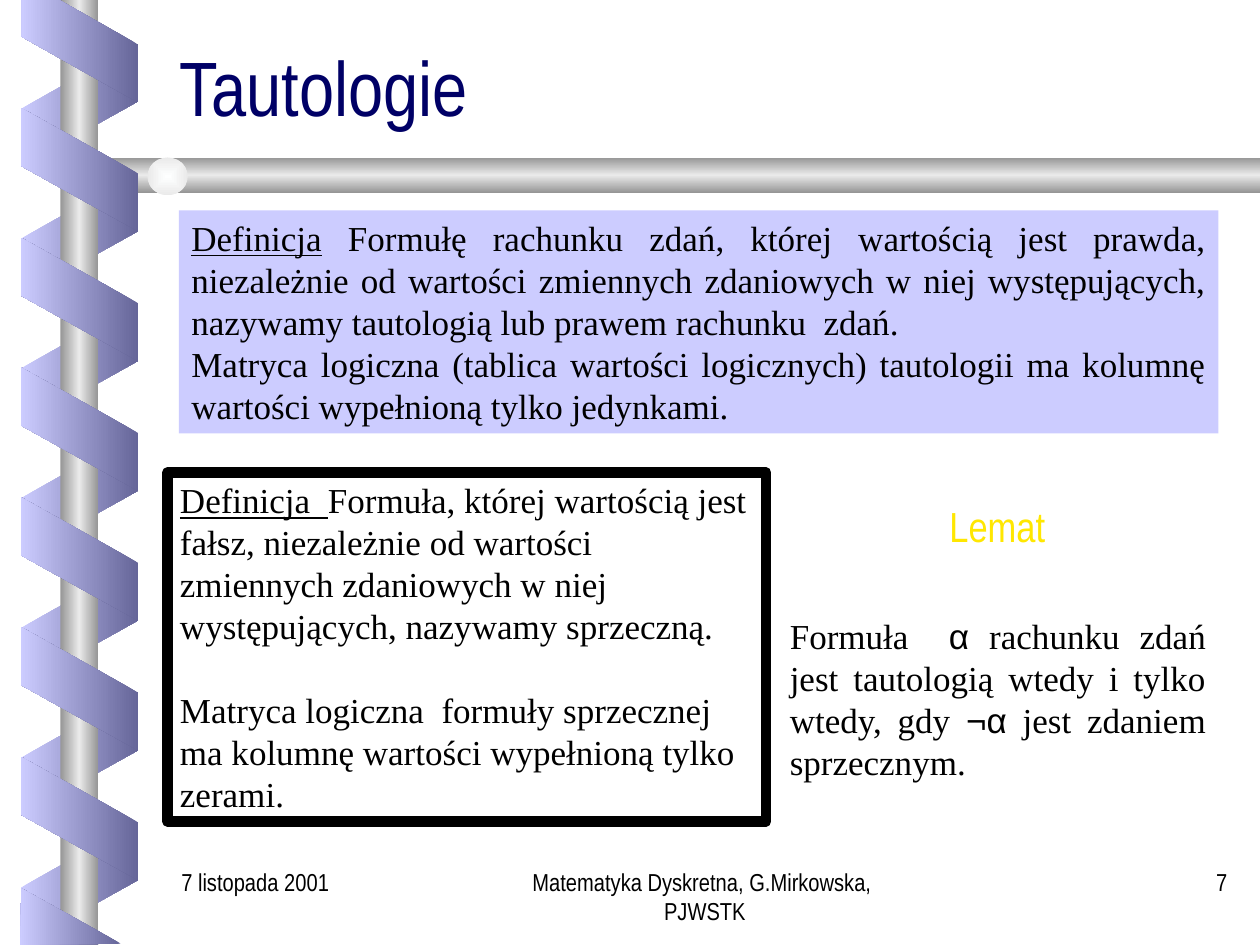
from lxml.etree import SubElement
from pptx import Presentation
from pptx.dml.color import RGBColor
from pptx.enum.shapes import MSO_SHAPE
from pptx.enum.text import MSO_ANCHOR, PP_ALIGN
from pptx.oxml.ns import qn
from pptx.util import Inches, Pt

BLACK = RGBColor(0x00, 0x00, 0x00)
NAVY = RGBColor(0x00, 0x00, 0x66)
YELLOW = RGBColor(0xFF, 0xE7, 0x01)
LILAC = RGBColor(0xCC, 0xCC, 0xFF)
VIOLET = RGBColor(0x66, 0x66, 0x99)
GREY = RGBColor(0x96, 0x96, 0x96)
SILVER = RGBColor(0xEA, 0xEA, 0xEA)
PEARL = RGBColor(0xFE, 0xFF, 0xFF)
SERIF, NARROW, SANS = "Times New Roman", "Arial Narrow", "Arial"

# Content: a paragraph is a list of (text, font changes)
UNDERLINED = {"underline": True}
TITLE = [[("Tautologie", {})]]
TAUTOLOGY = [
    [("Definicja", UNDERLINED), (" ", {"bold": True}),
     ("Formułę rachunku zdań, której wartością jest prawda, niezależnie od "
      "wartości zmiennych zdaniowych w niej występujących, nazywamy "
      "tautologią lub prawem rachunku  zdań.", {})],
    [("Matryca logiczna (tablica wartości logicznych) tautologii ma kolumnę "
      "wartości wypełnioną tylko jedynkami.", {})],
]
CONTRADICTION = [
    [("Definicja  ", UNDERLINED),
     ("Formuła, której wartością jest fałsz, niezależnie od wartości "
      "zmiennych zdaniowych w niej występujących, nazywamy sprzeczną.", {})],
    [("Matryca logiczna  formuły sprzecznej  ma kolumnę wartości wypełnioną "
      "tylko zerami.", {})],
]
LEMMA_HEAD = [[("Lemat", {})]]
LEMMA = [[("Formuła  ", {}), ("α", {"name": SANS}),
          (" rachunku zdań jest tautologią wtedy i tylko wtedy, gdy ", {}),
          ("¬α", {"name": SANS}), (" jest zdaniem sprzecznym.", {})]]
FOOTER = [  # text, left, width, alignment
    ("Matematyka Dyskretna, G.Mirkowska,  PJWSTK", 4.01, 3.17, PP_ALIGN.CENTER),
    ("7", 7.76, 2.08, PP_ALIGN.RIGHT),
    ("7 listopada 2001", 1.34, 2.08, PP_ALIGN.LEFT),
]

# Spiral: ribbons repeat down the left edge at one pitch
PITCH, RIBBON_X, RIBBON_W, RIBBON_H, SLANT = 1.03, 0.14, 0.98, 0.93, 0.56
# Outlines in hundredths of an inch
BAR = [(1000, 125), (76, 125), (60, 139), (76, 153), (1000, 153)]
TOP_RIBBON = [(17, 0), (17, 29), (109, 81), (109, 35), (47, 0)]
END_RIBBON = [(96, 749), (17, 705), (16, 750)]
METAL = [GREY, SILVER, GREY]

prs = Presentation()
prs.slide_width, prs.slide_height = Inches(10), Inches(7.5)
s = prs.slides.add_slide(prs.slide_layouts[6])


def plain(sp):
    sp.shadow.inherit = False
    sp.fill.background()
    sp.line.fill.background()
    return sp


def add_preset(kind, x, y, w, h):
    return plain(s.shapes.add_shape(kind, *map(Inches, (x, y, w, h))))


def add_outline(points):
    builder = s.shapes.build_freeform(*points[0], scale=Inches(0.01))
    builder.add_line_segments(points[1:], close=True)
    return plain(builder.convert_to_shape())


def shade(sp, colors, angle=None):
    """Gradient of evenly spaced colours, from the centre if no angle."""
    sp.fill.gradient()
    grad = sp._element.spPr.find(qn("a:gradFill"))
    for child in list(grad):
        grad.remove(child)
    grad.set("rotWithShape", "0")
    stops = SubElement(grad, qn("a:gsLst"))
    for i, color in enumerate(colors):
        stop = SubElement(stops, qn("a:gs"), pos=str(100000 * i // (len(colors) - 1)))
        SubElement(stop, qn("a:srgbClr"), val=str(color))
    if angle is None:
        path = SubElement(grad, qn("a:path"), path="rect")
        SubElement(path, qn("a:fillToRect"), **dict.fromkeys("ltrb", "50000"))
    else:
        SubElement(grad, qn("a:lin"), ang=str(angle * 60000), scaled="0")


def add_ribbons(top, count, rotation, colors, flip=False):
    for i in range(count):
        sp = add_preset(MSO_SHAPE.PARALLELOGRAM, RIBBON_X, top + i * PITCH,
                        RIBBON_W, RIBBON_H)
        sp.adjustments[0] = SLANT
        sp.rotation = rotation
        if flip:
            sp._element.spPr.find(qn("a:xfrm")).set("flipH", "1")
        shade(sp, colors, 180)


def write(sp, paragraphs, align=PP_ALIGN.LEFT, anchor=MSO_ANCHOR.TOP,
          wrap=True, spacing=None, gap=0, **base):
    tf = sp.text_frame
    tf.word_wrap, tf.vertical_anchor = wrap, anchor
    for i, runs in enumerate(paragraphs):
        p = tf.add_paragraph() if i else tf.paragraphs[0]
        p.alignment = align
        if spacing:
            p.line_spacing = spacing
        if i and gap:
            p.space_before = Pt(gap)
        for text, changes in runs:
            r = p.add_run()
            r.text = text
            style = {"name": SERIF, "size": Pt(20), **base, **changes}
            color = style.pop("color", BLACK)
            for key, value in style.items():
                setattr(r.font, key, value)
            r.font.color.rgb = color


def add_text(x, y, w, h, paragraphs, **style):
    write(s.shapes.add_textbox(*map(Inches, (x, y, w, h))), paragraphs, **style)


# Spiral behind the rod, rod, bar and knob, then spiral in front
add_ribbons(0.37, 7, 90, [LILAC, VIOLET], flip=True)
shade(add_preset(MSO_SHAPE.RECTANGLE, 0.48, 0, 0.3, 7.5), METAL, 180)
shade(add_outline(BAR), METAL, 90)
shade(add_preset(MSO_SHAPE.OVAL, 1.17, 1.25, 0.32, 0.3), [PEARL, SILVER])
add_ribbons(0.88, 6, 270, [VIOLET, LILAC])
for points in (TOP_RIBBON, END_RIBBON):
    shade(add_outline(points), [VIOLET, LILAC], 180)

# Title
add_text(1.33, 0.46, 8.5, 0.63, TITLE, anchor=MSO_ANCHOR.BOTTOM, spacing=0.8,
         name=NARROW, size=Pt(44), color=NAVY)

# Definition of a tautology
panel = add_preset(MSO_SHAPE.RECTANGLE, 1.42, 1.67, 8.25, 1.77)
panel.fill.solid()
panel.fill.fore_color.rgb = LILAC
write(panel, TAUTOLOGY, align=PP_ALIGN.JUSTIFY)

# Definition of a contradiction
frame = add_preset(MSO_SHAPE.RECTANGLE, 1.33, 3.75, 4.75, 2.77)
frame.line.color.rgb = BLACK
frame.line.width = Pt(6)
write(frame, CONTRADICTION, gap=24)

# Lemma
add_text(6.17, 4.83, 3.5, 1.44, LEMMA, align=PP_ALIGN.JUSTIFY)
add_text(7.08, 3.92, 1.67, 0.96, LEMMA_HEAD, align=PP_ALIGN.CENTER, wrap=False,
         name=NARROW, size=Pt(24), color=YELLOW)

# Footer
for text, x, w, align in FOOTER:
    add_text(x, 6.83, w, 0.5, [[(text, {})]], align=align, name=NARROW, size=Pt(14))

prs.save("out.pptx")
